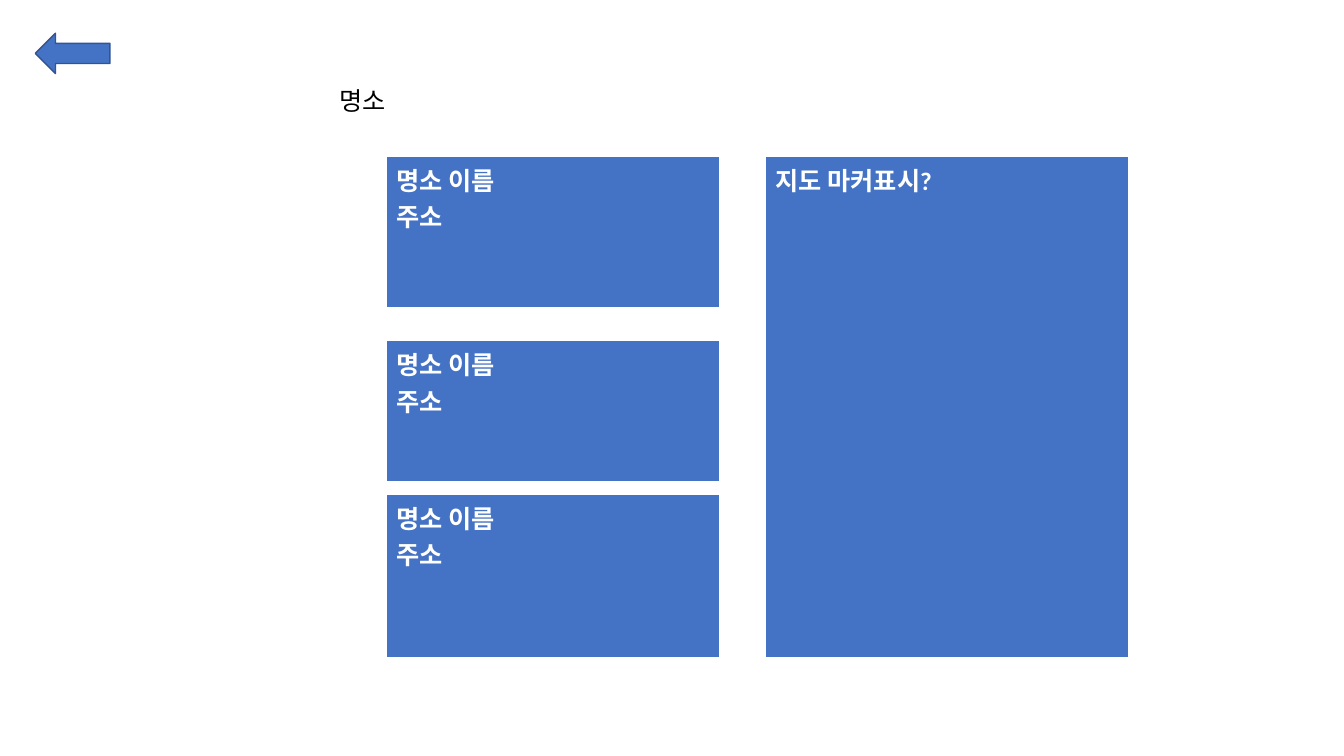
from lxml.etree import SubElement
from pptx import Presentation
from pptx.dml.color import RGBColor
from pptx.enum.shapes import MSO_SHAPE
from pptx.enum.text import MSO_ANCHOR, MSO_AUTO_SIZE, PP_ALIGN
from pptx.oxml.ns import qn
from pptx.util import Inches, Pt

BLUE = RGBColor(0x44, 0x72, 0xC4)
DARK_BLUE = RGBColor(0x32, 0x54, 0x91)
WHITE = RGBColor(0xFF, 0xFF, 0xFF)
BLACK = RGBColor(0x00, 0x00, 0x00)
FONT = "Calibri"

TOP = 1.55
PLACE_LEFT, PLACE_WIDTH = 3.83, 3.31
PLACE_ROWS = [(TOP, 1.51), (3.38, 1.41), (4.9, 1.64)]  # top, height
BORDERS = {"a:lnL": 1, "a:lnR": 1, "a:lnT": 1, "a:lnB": 3}  # points


def write_text(frame, lines, color=BLACK, bold=False, size=18):
    """Fill a text frame with one left-aligned paragraph per line."""
    for index, line in enumerate(lines):
        para = frame.add_paragraph() if index else frame.paragraphs[0]
        para.alignment = PP_ALIGN.LEFT
        span = para.add_run()
        span.text = line
        span.font.name = FONT
        span.font.size = Pt(size)
        span.font.bold = bold
        span.font.color.rgb = color


def add_borders(cell, color):
    properties = cell._tc.get_or_add_tcPr()
    for edge, points in BORDERS.items():
        line = SubElement(properties, qn(edge), w=str(Pt(points)))
        fill = SubElement(line, qn("a:solidFill"))
        SubElement(fill, qn("a:srgbClr"), val=str(color))


def add_card(page, left, top, width, height, lines):
    """Add a one-cell table."""
    frame = page.shapes.add_table(
        1, 1, Inches(left), Inches(top), Inches(width), Inches(height))
    cell = frame.table.cell(0, 0)
    add_borders(cell, WHITE)
    cell.fill.solid()
    cell.fill.fore_color.rgb = BLUE
    write_text(cell.text_frame, lines, color=WHITE, bold=True)


def place_title(page, text):
    title = page.shapes.title
    title.left, title.top = Inches(3.27), Inches(0.8)
    title.width, title.height = Inches(6.43), Inches(0.4)
    frame = title.text_frame
    frame.word_wrap = True
    frame.auto_size = MSO_AUTO_SIZE.SHAPE_TO_FIT_TEXT
    frame.vertical_anchor = MSO_ANCHOR.TOP
    write_text(frame, [text])


def add_back_arrow(page):
    arrow = page.shapes.add_shape(
        MSO_SHAPE.RIGHT_ARROW,
        Inches(0.35), Inches(0.33), Inches(0.74), Inches(0.4))
    arrow.rotation = 180
    arrow.shadow.inherit = False
    arrow.fill.solid()
    arrow.fill.fore_color.rgb = BLUE
    arrow.line.color.rgb = DARK_BLUE
    arrow.line.width = Pt(1)


def main():
    deck = Presentation()
    deck.slide_width, deck.slide_height = Inches(13.33), Inches(7.5)
    page = deck.slides.add_slide(deck.slide_layouts.get_by_name("Title Only"))

    # Heading and back button
    place_title(page, "명소")
    add_back_arrow(page)

    # List of places
    for top, height in PLACE_ROWS:
        add_card(page, PLACE_LEFT, top, PLACE_WIDTH, height,
                 ["명소 이름", "주소"])

    # Map panel, as tall as the list
    last_top, last_height = PLACE_ROWS[-1]
    add_card(page, 7.59, TOP, 3.6, last_top + last_height - TOP,
             ["지도 마커표시?"])

    deck.save("out.pptx")


if __name__ == "__main__":
    main()
